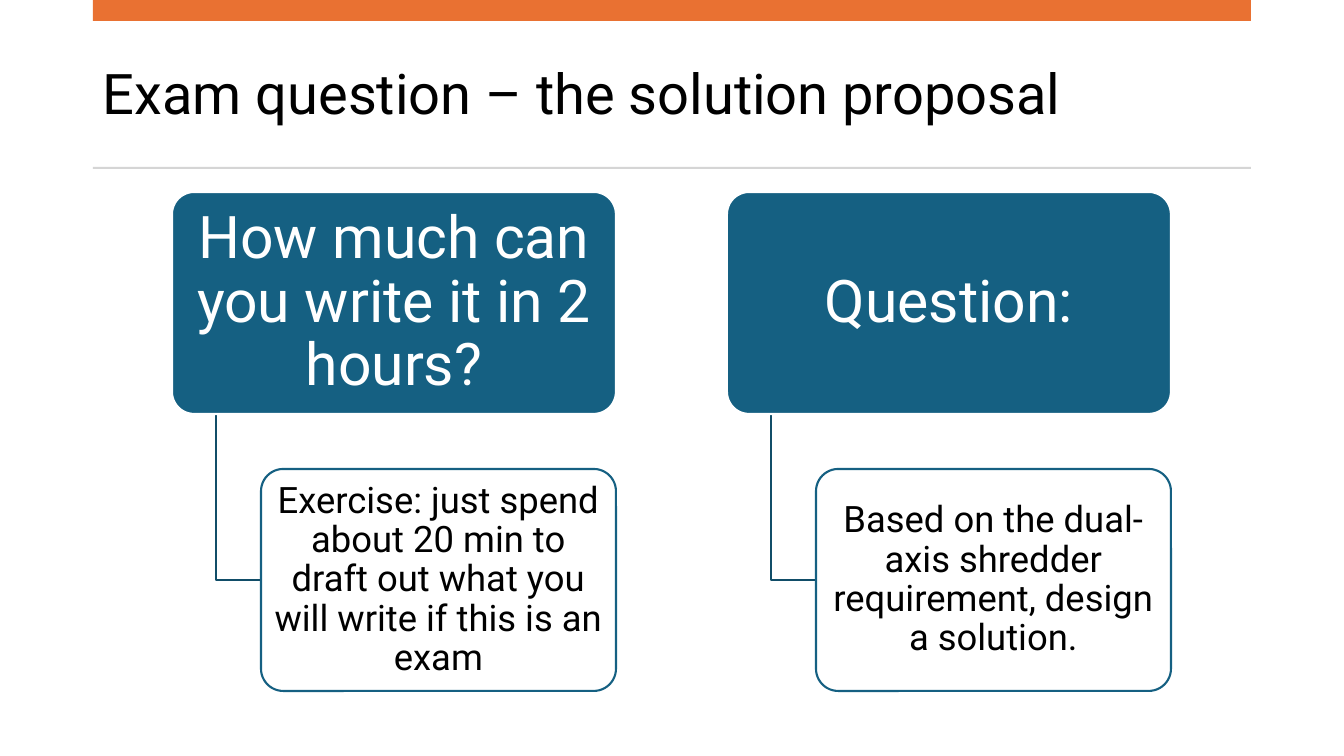
"""Build the exam question slide with two header and detail card pairs."""
import pptx
import pptx.dml.color
import pptx.enum.shapes
import pptx.enum.text
import pptx.util

PX = 914400 / 100.8
SHAPE = pptx.enum.shapes.MSO_SHAPE
ALIGN = pptx.enum.text.PP_ALIGN


def rgb(value):
    return pptx.dml.color.RGBColor.from_string(value)


def write(sp, text, size=26, color="000000", align=ALIGN.CENTER, inset_x=5, inset_y=4):
    tf = sp.text_frame
    tf.word_wrap = True
    tf.vertical_anchor = pptx.enum.text.MSO_ANCHOR.MIDDLE
    tf.margin_left = tf.margin_right = round(inset_x * PX)
    tf.margin_top = tf.margin_bottom = round(inset_y * PX)
    p = tf.paragraphs[0]
    p.alignment = align
    p.line_spacing = 0.9
    r = p.add_run()
    r.text = text
    r.font.name = "Roboto"
    r.font.size = pptx.util.Pt(size)
    r.font.color.rgb = rgb(color)


prs = pptx.Presentation()
prs.slide_width = round(1344 * PX)
prs.slide_height = round(756 * PX)
s = prs.slides.add_slide(prs.slide_layouts[6])

title = s.shapes.add_textbox(*[round(v * PX) for v in (93, 37, 1158, 119)])
write(title, "Exam question – the solution proposal", size=40, align=ALIGN.LEFT, inset_x=10, inset_y=5)

for top, height, color in [(0, 21, "E97132"), (167, 2, "D5D5D5")]:
    sp = s.shapes.add_shape(SHAPE.RECTANGLE, *[round(v * PX) for v in (93, top, 1158, height)])
    sp.shadow.inherit = False
    sp.fill.solid()
    sp.fill.fore_color.rgb = rgb(color)
    sp.line.fill.background()

columns = [
    (172, "How much can you write it in 2 hours?",
     "Exercise: just spend about 20 min to draft out what you will write if this is an exam"),
    (727, "Question:",
     "Based on the dual-axis shredder requirement, design a solution."),
]
for left, header, detail in columns:
    builder = s.shapes.build_freeform(left + 44, 414, scale=PX)
    builder.add_line_segments([(left + 44, 580), (left + 89, 580)], close=False)
    elbow = builder.convert_to_shape()
    elbow.shadow.inherit = False
    elbow.fill.background()
    elbow.line.color.rgb = rgb("114D68")
    elbow.line.width = pptx.util.Pt(1.5)

    cards = [
        (left, 192, 444, "156082", "FFFFFF", header, dict(size=42, color="FFFFFF", inset_x=9, inset_y=6)),
        (left + 89, 469, 355, "FFFFFF", "156082", detail, {}),
    ]
    for x, y, width, fill, line, text, style in cards:
        sp = s.shapes.add_shape(SHAPE.ROUNDED_RECTANGLE, *[round(v * PX) for v in (x, y, width, 222)])
        sp.adjustments[0] = 0.1
        sp.shadow.inherit = False
        sp.fill.solid()
        sp.fill.fore_color.rgb = rgb(fill)
        sp.line.color.rgb = rgb(line)
        sp.line.width = pptx.util.Pt(1.5)
        write(sp, text, **style)

prs.save("out.pptx")
